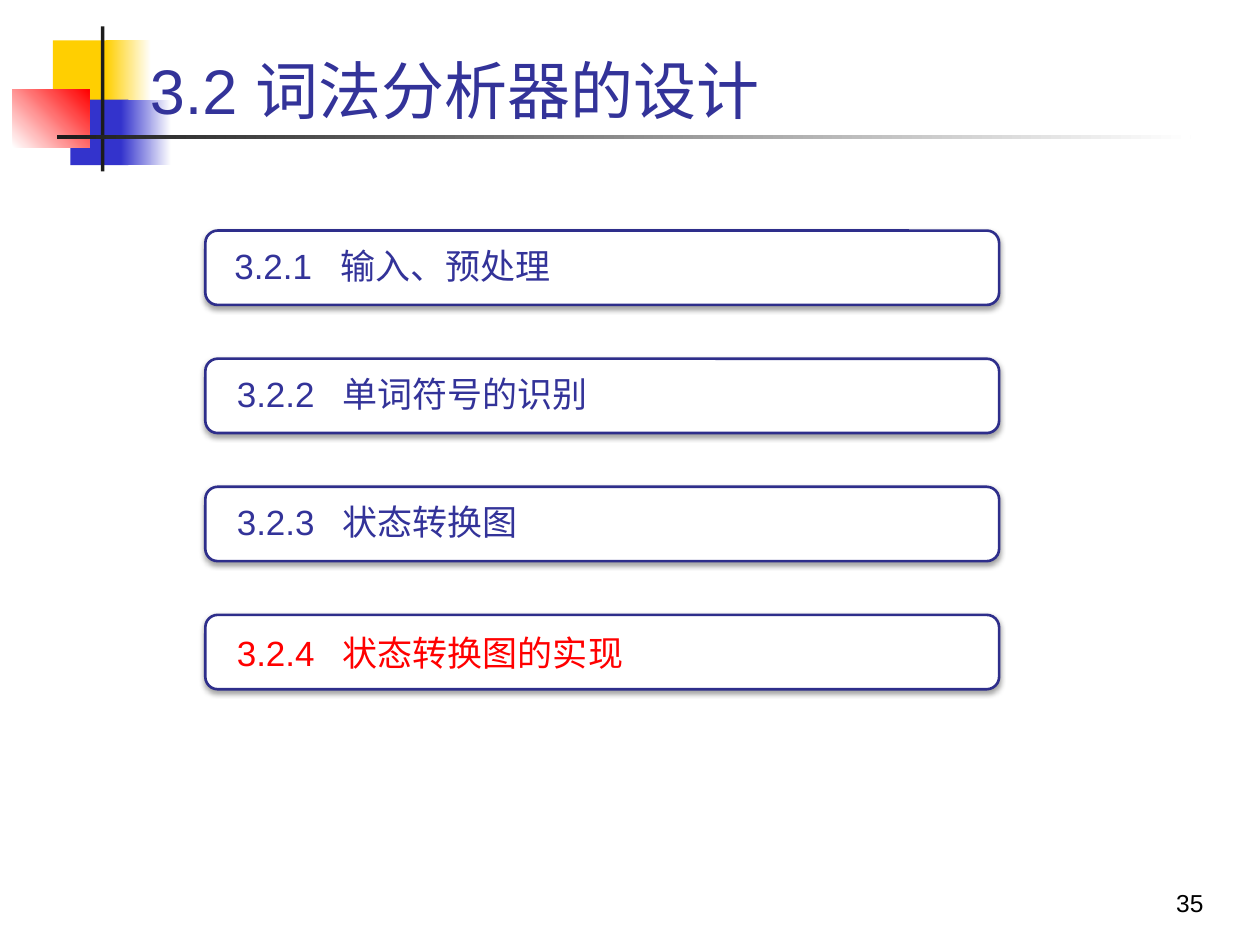
from lxml.etree import SubElement
from pptx import Presentation
from pptx.dml.color import RGBColor
from pptx.enum.shapes import MSO_SHAPE as SHAPE
from pptx.enum.text import MSO_ANCHOR as ANCHOR, PP_ALIGN as ALIGN
from pptx.oxml.ns import qn
from pptx.util import Inches, Pt

WHITE = RGBColor(0xFF, 0xFF, 0xFF)
BLACK = RGBColor(0, 0, 0)
INK = RGBColor(0x1C, 0x1C, 0x1C)
YELLOW = RGBColor(0xFF, 0xCF, 0x01)
BLUE = RGBColor(0x33, 0x33, 0xCC)
RED = RGBColor(0xFF, 0, 0)
NAVY = RGBColor(0x33, 0x33, 0x99)
BORDER = RGBColor(0x2E, 0x2E, 0x8B)
LATIN, CJK = "Arial", "Noto Sans CJK SC"


def add_run(p, text, size, color, font=LATIN):
    r = p.add_run()
    r.text = text
    r.font.size = Pt(size)
    r.font.name = font
    r.font.color.rgb = color
    SubElement(r.font._element, qn("a:ea")).set("typeface", CJK)


def place(sp, box):
    sp.left, sp.top, sp.width, sp.height = (Inches(v) for v in box)


def add_block(shapes, box, color, end=None, angle=0):
    sp = shapes.add_shape(SHAPE.RECTANGLE, *(Inches(v) for v in box))
    sp.shadow.inherit = False
    sp.line.fill.background()
    if end is None:
        sp.fill.solid()
        sp.fill.fore_color.rgb = color
    else:
        sp.fill.gradient()
        sp.fill.gradient_angle = angle
        for stop, rgb in zip(sp.fill.gradient_stops, (color, end)):
            stop.color.rgb = rgb


def add_ornament(s, left, top):
    blocks = [
        (0.32, 0.11, 0.48, 0.52, YELLOW),
        (0.74, 0.11, 0.36, 0.52, YELLOW, WHITE),
        (0.46, 0.58, 0.46, 0.52, BLUE),
        (0.86, 0.58, 0.4, 0.52, BLUE, WHITE),
        (0, 0.5, 0.61, 0.46, WHITE, RED, 45),
        (0.7, 0, 0.03, 1.15, INK),
        (0.35, 0.86, 9, 0.03, INK, WHITE),
    ]
    for x, y, w, h, *paint in blocks:
        add_block(s.shapes, (left + x, top + y, w, h), *paint)


def add_title(s, box):
    title = s.shapes.title
    place(title, box)
    tf = title.text_frame
    tf.vertical_anchor = ANCHOR.BOTTOM
    p = tf.paragraphs[0]
    p.alignment = ALIGN.LEFT
    add_run(p, "3.2 词法分析器的设计", 36, NAVY)
    title.element.getparent().append(title.element)


def add_shadow(sp):
    sp.shadow.inherit = False
    effects = sp.element.spPr.find(qn("a:effectLst"))
    shadow = SubElement(effects, qn("a:outerShdw"), blurRad=str(Pt(3.1)),
                        dist=str(Pt(1.6)), dir="5400000", rotWithShape="0")
    color = SubElement(shadow, qn("a:srgbClr"), val=str(BLACK))
    SubElement(color, qn("a:alpha"), val="38000")


def add_section(s, box, number, name, color, inset, spacing):
    left, top, width, height = box
    group = s.shapes.add_group_shape()
    sp = group.shapes.add_shape(SHAPE.ROUNDED_RECTANGLE, *(Inches(v) for v in box))
    sp.fill.solid()
    sp.fill.fore_color.rgb = WHITE
    sp.line.color.rgb = BORDER
    sp.line.width = Pt(1.5)
    add_shadow(sp)

    label = group.shapes.add_textbox(Inches(left + inset), Inches(top + 0.03),
                                     Inches(width - 2 * inset), Inches(height - 0.06))
    tf = label.text_frame
    tf.word_wrap = True
    tf.vertical_anchor = ANCHOR.MIDDLE
    tf.margin_left = tf.margin_right = Inches(0.2)
    tf.margin_top = tf.margin_bottom = 0
    p = tf.paragraphs[0]
    p.line_spacing = spacing
    tabs = SubElement(p._p.get_or_add_pPr(), qn("a:tabLst"))
    SubElement(tabs, qn("a:tab"), pos=str(Inches(0.84)), algn="l")
    add_run(p, number + "\t", 20, color)
    add_run(p, name, 20, color, CJK)


def add_sections(s, left, top, width):
    sections = [
        ("3.2.1", "输入、预处理", NAVY, 0.03, 0.9),
        ("3.2.2", "单词符号的识别", NAVY, 0.05, 0.9),
        ("3.2.3", "状态转换图", NAVY, 0.05, 0.9),
        ("3.2.4", "状态转换图的实现", RED, 0.05, 1.0),
    ]
    pitch = 3.05 / 3
    for i, section in enumerate(sections):
        add_section(s, (left, top + i * pitch, width, 0.59), *section)


def add_page_number(s, box):
    tf = s.shapes.add_textbox(*(Inches(v) for v in box)).text_frame
    tf.word_wrap = True
    tf.vertical_anchor = ANCHOR.BOTTOM
    p = tf.paragraphs[0]
    p.alignment = ALIGN.RIGHT
    add_run(p, "35", 14, BLACK)


def main():
    prs = Presentation()
    prs.slide_width, prs.slide_height = Inches(10), Inches(7.5)
    s = prs.slides.add_slide(prs.slide_layouts[5])
    add_ornament(s, 0.1, 0.21)
    add_title(s, (1.09, 0.22, 8.52, 0.84))
    add_page_number(s, (7.57, 6.83, 2.08, 0.5))
    add_sections(s, 1.63, 1.83, 6.3)
    prs.save("out.pptx")


if __name__ == "__main__":
    main()
